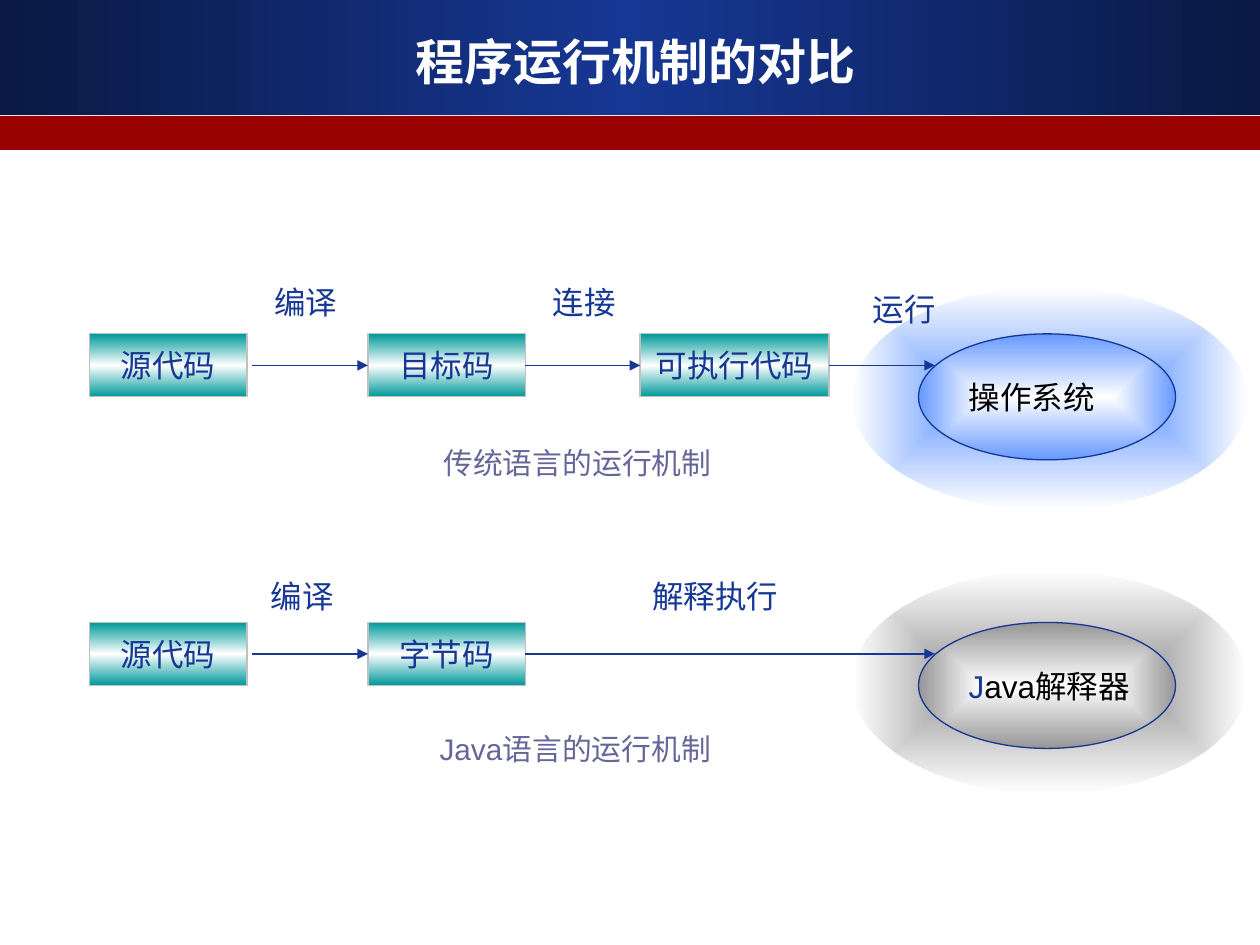
from lxml import etree
from pptx import Presentation
from pptx.dml.color import RGBColor
from pptx.enum.shapes import MSO_CONNECTOR as CONN, MSO_SHAPE as SHAPE
from pptx.enum.text import MSO_ANCHOR as ANCHOR, PP_ALIGN as ALIGN
from pptx.oxml.ns import qn
from pptx.util import Inches, Pt

NAVY, TEAL, WHITE = "163794", "009999", "FFFFFF"
BLUE, GRAY = "6699FF", "969696"


def rgb(value):
    return RGBColor.from_string(value)


class Deck:
    font, size, line_width = "Arial", 18, 0.75

    def __init__(self, prs):
        self.s = prs.slides.add_slide(prs.slide_layouts[5])

    def gradient(self, sp, colors, angle=None):
        sp.fill.solid()
        old = sp._element.spPr.find(qn("a:solidFill"))
        grad = etree.Element(qn("a:gradFill"), rotWithShape="1")
        stops = etree.SubElement(grad, qn("a:gsLst"))
        for i, color in enumerate(colors):
            pos = 100000 * i // (len(colors) - 1)
            gs = etree.SubElement(stops, qn("a:gs"), pos=str(pos))
            etree.SubElement(gs, qn("a:srgbClr"), val=color)
        if angle is None:
            shade = etree.SubElement(grad, qn("a:path"), path="rect")
            etree.SubElement(shade, qn("a:fillToRect"),
                             l="50000", t="50000", r="50000", b="50000")
        else:
            etree.SubElement(grad, qn("a:lin"), ang=str(angle * 60000), scaled="0")
        old.getparent().replace(old, grad)

    def set_text(self, sp, runs, align, size=None, font=None, bold=False,
                 anchor=ANCHOR.MIDDLE, wrap=False):
        tf = sp.text_frame
        tf.word_wrap, tf.vertical_anchor = wrap, anchor
        p = tf.paragraphs[0]
        p.alignment = align
        p.font.name, p.font.size = font or self.font, Pt(size or self.size)
        p.font.bold = bold
        for text, color in runs:
            r = p.add_run()
            r.text = text
            r.font.color.rgb = rgb(color)

    def shape(self, kind, box, colors, angle=None, line=None):
        sp = self.s.shapes.add_shape(kind, *map(Inches, box))
        sp.shadow.inherit = False
        if len(colors) > 1:
            self.gradient(sp, colors, angle)
        else:
            sp.fill.solid()
            sp.fill.fore_color.rgb = rgb(colors[0])
        if line:
            sp.line.color.rgb = rgb(line)
            sp.line.width = Pt(self.line_width)
        else:
            sp.line.fill.background()
        return sp

    def title(self, text, box):
        sp = self.s.shapes.title
        sp.left, sp.top, sp.width, sp.height = map(Inches, box)
        self.set_text(sp, [(text, WHITE)], ALIGN.CENTER, 28, "DejaVu Sans", True, wrap=True)
        self.s.shapes._spTree.append(sp._element)

    def step(self, text, left, top, width=1.25):
        sp = self.shape(SHAPE.RECTANGLE, (left, top, width, 0.5),
                        [TEAL, WHITE, TEAL], 90, "C0C0C0")
        self.set_text(sp, [(text, NAVY)], ALIGN.CENTER)
        return sp

    def target(self, runs, top, color):
        sp = self.shape(SHAPE.OVAL, (7.29, top, 2.04, 1), [WHITE, color], line=NAVY)
        self.set_text(sp, runs, ALIGN.LEFT)

    def label(self, text, left, top, width, size=None, color=NAVY, wrap=True):
        sp = self.s.shapes.add_textbox(*map(Inches, (left, top, width, 0.4)))
        self.set_text(sp, [(text, color)], ALIGN.LEFT, size, anchor=ANCHOR.TOP, wrap=wrap)

    def arrow(self, x1, x2, y, start=None, end=None):
        c = self.s.shapes.add_connector(CONN.STRAIGHT, *map(Inches, (x1, y, x2, y)))
        if start:
            c.begin_connect(start, 3)
        if end:
            c.end_connect(end, 1)
        c.line.color.rgb = rgb(NAVY)
        c.line.width = Pt(self.line_width)
        spPr = c._element.spPr
        etree.SubElement(spPr.find(qn("a:ln")), qn("a:tailEnd"), type="triangle")
        etree.SubElement(spPr, qn("a:effectLst"))


def main():
    prs = Presentation()
    prs.slide_width, prs.slide_height = Inches(10), Inches(7.5)
    d = Deck(prs)

    edge = "0A1944"
    d.shape(SHAPE.RECTANGLE, (0, 0, 10, 0.91), [edge, NAVY, edge], 0)
    d.shape(SHAPE.RECTANGLE, (0, 0.92, 10, 0.27), ["990000"])
    d.title(" 程序运行机制的对比", (0, 0.16, 10, 0.64))

    for top, color in ((2.28, BLUE), (4.53, GRAY)):
        d.shape(SHAPE.OVAL, (6.76, top, 3.14, 1.77), [color, WHITE])

    native, java = 2.65, 4.94
    d.target([("操作系统", "000000")], native, BLUE)
    d.target([("J", NAVY), ("ava解释器", "000000")], java, GRAY)

    middle = {}
    for top, text in ((native, "目标码"), (java, "字节码")):
        d.step("源代码", 0.71, top)
        middle[top] = d.step(text, 2.92, top)
        d.arrow(2, 2.92, top + 0.25, end=middle[top])
    program = d.step("可执行代码", 5.08, native, 1.5)
    d.arrow(4.17, 5.08, native + 0.25, middle[native], program)
    d.arrow(6.58, 7.42, native + 0.25, program)
    d.arrow(4.17, 7.42, java + 0.25, middle[java])

    for text, left, top, width in (
        ("编译", 2.08, 2.2, 0.73),
        ("连接", 4.29, 2.2, 0.75),
        ("运行", 6.83, 2.25, 0.75),
        ("编译", 2.05, 4.53, 0.73),
        ("解释执行", 5.08, 4.53, 1.25),
    ):
        d.label(text, left, top, width)
    d.label("传统语言的运行机制", 3.42, 3.48, 2.33, 17, "666699", False)
    d.label("Java语言的运行机制", 3.39, 5.75, 2.41, 17, "666699", False)

    prs.save("out.pptx")


if __name__ == "__main__":
    main()
